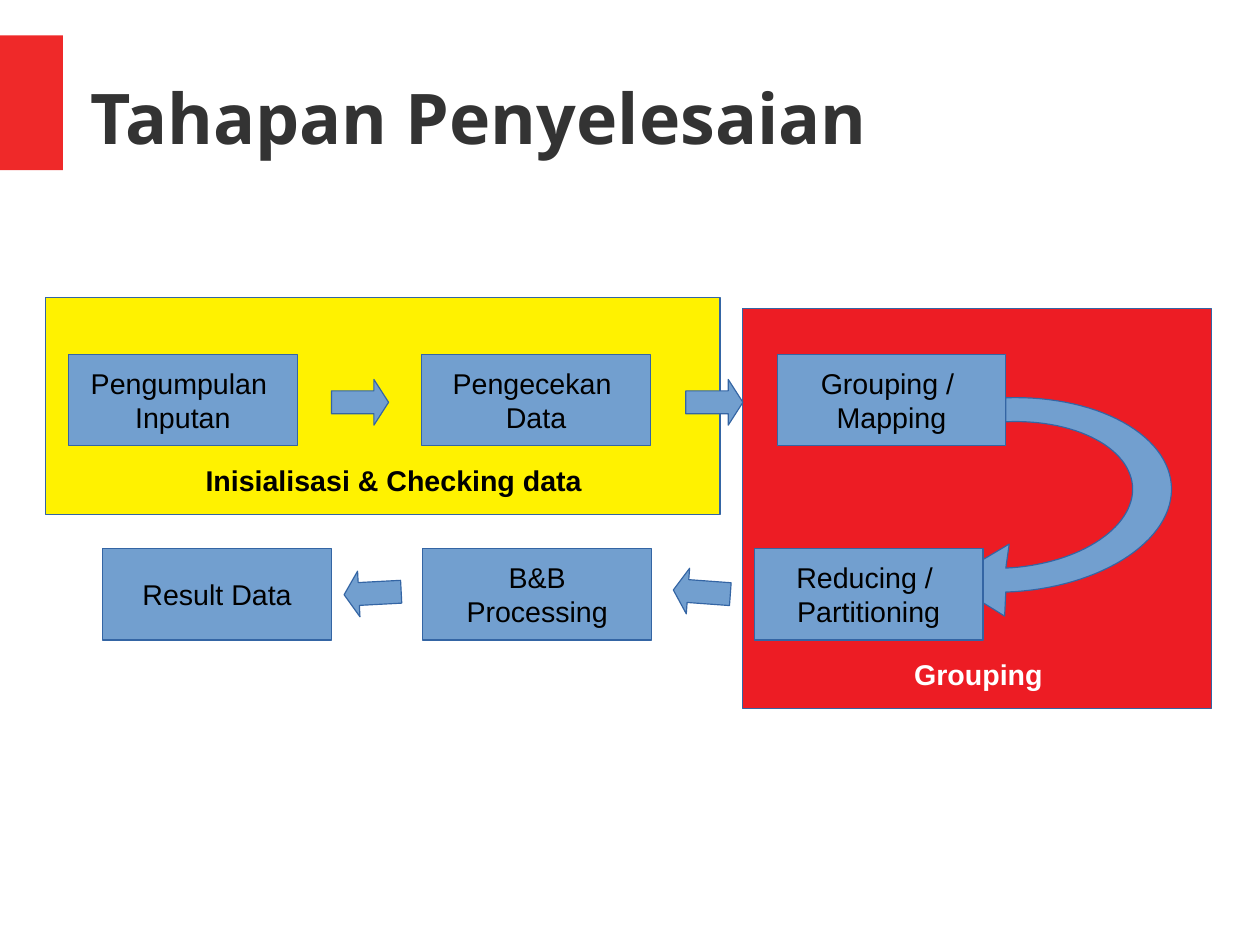
"""Build the "Tahapan Penyelesaian" process slide."""
import math

from pptx import Presentation
from pptx.dml.color import RGBColor
from pptx.enum.shapes import MSO_SHAPE
from pptx.enum.text import MSO_ANCHOR, PP_ALIGN
from pptx.util import Inches, Pt

COLORS = {"accent": "EF2929", "title": "333333", "yellow": "FFF200", "red": "ED1C24",
          "blue": "729FCF", "line": "3465A4", "black": "000000", "white": "FFFFFF"}


def paint(shape, fill, outlined=True):
    shape.shadow.inherit = False
    shape.fill.solid()
    shape.fill.fore_color.rgb = RGBColor.from_string(COLORS[fill])
    if outlined:
        shape.line.color.rgb = RGBColor.from_string(COLORS["line"])
        shape.line.width = Pt(0.75)
    else:
        shape.line.fill.background()


def write(frame, text, size, color, font="Arial", bold=False, align=PP_ALIGN.LEFT):
    frame.text = text
    for paragraph in frame.paragraphs:
        paragraph.alignment = align
        for run in paragraph.runs:
            run.font.name = font
            run.font.size = Pt(size)
            run.font.bold = bold
            run.font.color.rgb = RGBColor.from_string(COLORS[color])


prs = Presentation()
prs.slide_width, prs.slide_height = Inches(28 / 2.54), Inches(21 / 2.54)
slide = prs.slides.add_slide(prs.slide_layouts[5])
shapes = slide.shapes

title = shapes.title
title.left, title.top, title.width, title.height = map(Inches, (0.79, 0.33, 9.68, 1.38))
frame = title.text_frame
frame.margin_left = frame.margin_right = frame.margin_top = frame.margin_bottom = 0
frame.vertical_anchor = MSO_ANCHOR.MIDDLE
write(frame, "Tahapan Penyelesaian", 44, "title", "Noto Sans", True)

panels = [(0, 0.31, 0.55, 1.18, "accent", False),
          (0.4, 2.6, 5.9, 1.9, "yellow", True),
          (6.5, 2.7, 4.1, 3.5, "red", True)]
for left, top, width, height, fill, outlined in panels:
    panel = shapes.add_shape(MSO_SHAPE.RECTANGLE, *map(Inches, (left, top, width, height)))
    paint(panel, fill, outlined)

center_x, center_y, tilt = 8.8, 4.33, 0.05
arcs = []
for radius_x, radius_y in ((1.11, 0.64), (1.45, 0.85)):
    angles = [math.radians(step * 3) for step in range(61)]
    arcs.append([(center_x + radius_x * math.sin(a),
                  center_y - radius_y * math.cos(a) - tilt * math.sin(a)) for a in angles])
inner, outer = arcs
arrowhead = [(8.79, 5.39), (8.29, 5.08), (8.83, 4.76)]
outline = [(Inches(x), Inches(y)) for x, y in inner[::-1] + outer + arrowhead]
builder = shapes.build_freeform(*outline[0], scale=1.0)
builder.add_line_segments(outline[1:], close=True)
paint(builder.convert_to_shape(), "blue")

steps = [(0.6, 3.1, "Pengumpulan \nInputan"),
         (3.69, 3.1, "Pengecekan \nData"),
         (6.8, 3.1, "Grouping / \nMapping"),
         (6.6, 4.8, "Reducing / \nPartitioning"),
         (3.7, 4.8, "B&B\nProcessing"),
         (0.9, 4.8, "Result Data")]
for left, top, text in steps:
    step = shapes.add_shape(MSO_SHAPE.FLOWCHART_PROCESS, *map(Inches, (left, top, 2, 0.8)))
    paint(step, "blue")
    step.text_frame.word_wrap = False
    step.text_frame.vertical_anchor = MSO_ANCHOR.MIDDLE
    write(step.text_frame, text, 18, "black", align=PP_ALIGN.CENTER)

arrows = [(2.9, 3.32, 0), (6, 3.32, 0), (5.89, 4.98, 184.2), (3.01, 4.99, 177)]
for left, top, rotation in arrows:
    arrow = shapes.add_shape(MSO_SHAPE.RIGHT_ARROW, *map(Inches, (left, top, 0.5, 0.4)))
    arrow.adjustments[1] = 0.32
    arrow.rotation = rotation
    paint(arrow, "blue")

labels = [(7.9, 5.7, 2.8, 0.38, "Grouping", "white"),
          (1.7, 4, 3.6, 0.66, "Inisialisasi & Checking data", "black")]
for left, top, width, height, text, color in labels:
    label = shapes.add_textbox(*map(Inches, (left, top, width, height)))
    label.text_frame.word_wrap = True
    write(label.text_frame, text, 18, color, bold=True)

prs.save("out.pptx")
